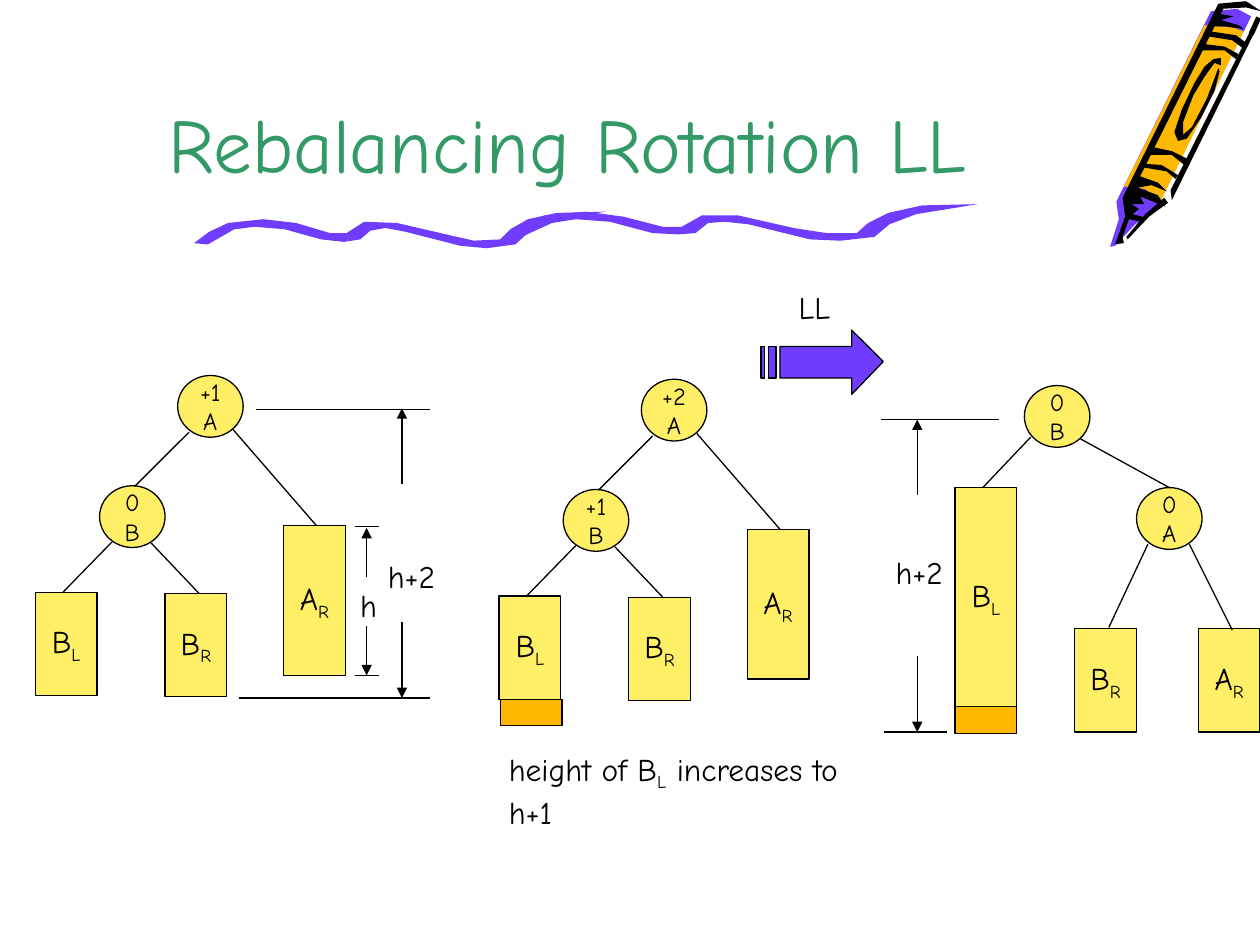
from lxml import etree
from pptx import Presentation
from pptx import util as u
from pptx.dml.color import RGBColor
from pptx.enum import shapes, text
from pptx.oxml.ns import qn

COLORS = {"ink": "000000", "title": "339966", "node": "FFEF66",
          "extra": "FFB800", "violet": "703DFF"}
FONT = "Comic Neue"
CELL = u.Inches(0.1)
NODE = (5.2, 4.9)
BAR = 4.9
SHORT, MEDIUM, TALL, GROWTH = 8.2, 11.9, 17.4, 2.1

CRAYON = [
    ("violet", [(99.3, 1.3), (91.7, 16.6), (90.1, 17.8), (88.5, 19.5), (88.1, 19.6),
                (88.8, 17.4), (88.6, 16), (96.1, 0.9), (98.2, 0.7)]),
    ("extra", [(92.1, 16), (90.9, 15), (89.2, 14.8), (95.6, 2), (97.9, 2.2), (98.7, 2.5)]),
    ("ink", [(92.7, 16.1), (91.2, 17.2), (89.5, 19), (89.4, 18.8), (90.9, 17), (92.4, 15.7)]),
    ("ink", [(98.7, 2.3), (97.3, 2.1), (96.1, 2.1), (96.8, 1.1), (97.9, 1.3),
             (96.9, 1.6), (98.3, 2)]),
    ("ink", [(96.8, 5.7), (96.4, 7.2), (95.3, 9.4), (94.2, 11), (93.5, 11.2), (93.2, 10.5),
             (93.8, 8.7), (94.8, 6.6), (95.6, 5.3), (96.3, 4.7), (96.9, 4.6), (96.9, 5.2),
             (96.4, 5), (95.6, 6.1), (94.7, 7.6), (93.9, 9.7), (93.9, 10.7), (94.6, 10.1),
             (95.8, 7.8), (96.7, 5.4)]),
    ("ink", [(99.7, 2.3), (93, 15.9), (92.9, 15.1), (99.3, 2.3)]),
    ("ink", [(92.5, 16.4), (91.9, 15.5), (90.3, 14.9), (91.4, 14.7), (92.6, 15.2),
             (91.9, 14.5), (90.5, 14), (97.1, 0.7), (98.9, 0.6), (100.1, 0.9), (98.9, 0.1),
             (96.7, 0.3), (89.1, 15.7), (89.3, 17.2), (88.5, 19.4), (89.2, 19.3),
             (89.1, 18.8), (89.6, 17.4), (90.5, 17.6), (91, 17.3), (89.9, 17),
             (90.4, 16.6), (89.8, 16.2), (90.8, 16.2), (90.5, 15.6)]),
    ("ink", [(93.3, 14.2), (92.6, 13.6), (90.8, 13.3), (90.9, 13), (92.2, 13.1), (93.5, 13.9)]),
    ("ink", [(94, 13.1), (93, 12.3), (91.3, 12.3), (91.6, 11.7), (93, 12), (94.2, 12.6)]),
    ("ink", [(98.1, 4.7), (97.2, 4), (95.3, 4), (95.6, 3.5), (97.2, 3.7), (98.3, 4.3)]),
    ("ink", [(98.6, 3.8), (97.8, 3.2), (95.9, 2.9), (96.1, 2.5), (98.1, 2.8), (98.9, 3.4)]),
]
WAVES = [
    [(16.5, 19.4), (18.6, 18.2), (20.2, 18), (22.6, 18.2), (25.5, 19), (27.3, 19.2),
     (28.6, 19), (29.4, 18.3), (30.6, 18.1), (32.2, 18.4), (36.5, 19.5), (38.6, 19.7),
     (40.9, 19.4), (42, 18.4), (43.8, 17.5), (48.1, 16.8), (44.2, 16.9), (41.9, 17.4),
     (40.5, 18.2), (39.7, 19), (37.6, 19.1), (35.4, 18.6), (31.5, 17.7), (28.9, 17.6),
     (27.5, 18.5), (26.2, 18.5), (23.5, 17.7), (20.9, 17.4), (18.1, 17.7), (16.6, 18.4),
     (15.4, 19.3)],
    [(41.4, 18.8), (43.8, 17.7), (45.7, 17.4), (48.4, 17.6), (51.8, 18.5), (53.8, 18.6),
     (55.2, 18.5), (56.2, 17.7), (57.5, 17.6), (59.4, 17.8), (64.3, 19), (66.7, 19.1),
     (69.4, 18.8), (70.6, 17.8), (72.7, 17), (77.6, 16.2), (73.2, 16.3), (70.5, 16.9),
     (68.9, 17.7), (68, 18.5), (65.6, 18.5), (63, 18.1), (58.6, 17.1), (55.7, 17.1),
     (54.1, 18), (52.6, 18), (49.5, 17.2), (46.5, 16.8), (43.2, 17.1), (41.5, 17.8),
     (40.1, 18.8)],
]
ARROW = [
    [(61.9, 27.5), (67.6, 27.5), (67.6, 26.2), (70.1, 28.7), (67.6, 31.3), (67.6, 30), (61.9, 30)],
    [(60.4, 27.5), (60.7, 27.5), (60.7, 30), (60.4, 30)],
    [(61, 27.5), (61.6, 27.5), (61.6, 30), (61, 30)],
]


def grid(*cells):
    """Turn grid columns or rows into slide lengths."""
    return [round(cell * CELL) for cell in cells]


def color(name):
    """Look up a named colour."""
    return RGBColor.from_string(COLORS[name])


def paint(shape, fill, outlined=True):
    """Give a shape its fill and a thin outline or none."""
    shape.shadow.inherit = False
    shape.fill.solid()
    shape.fill.fore_color.rgb = color(fill)
    if outlined:
        shape.line.color.rgb = color("ink")
        shape.line.width = u.Pt(0.75)
    else:
        shape.line.fill.background()


def write(frame, label, size=18, align=text.PP_ALIGN.CENTER, ink="ink"):
    """Write a label whose pieces between bars are subscripts."""
    for number, line in enumerate(label.split("\n")):
        para = frame.add_paragraph() if number else frame.paragraphs[0]
        para.alignment = align
        for index, piece in enumerate(line.split("|")):
            if not piece:
                continue
            span = para.add_run()
            span.text = piece
            span.font.name, span.font.size = FONT, u.Pt(size)
            span.font.color.rgb = color(ink)
            if index % 2:
                span._r.get_or_add_rPr().set("baseline", "-25000")


def add_outline(page, contours, fill, outlined=False):
    """Draw one freeform made of closed contours."""
    builder = None
    for contour in contours:
        start, *rest = [grid(*point) for point in contour]
        if builder is None:
            builder = page.shapes.build_freeform(*start)
        else:
            builder.move_to(*start)
        builder.add_line_segments(rest, close=True)
    paint(builder.convert_to_shape(), fill, outlined)


def add_line(page, x1, y1, x2, y2, arrow=False, width=0.75):
    """Draw a straight line, with an arrowhead at its end if asked."""
    line = page.shapes.add_connector(shapes.MSO_CONNECTOR.STRAIGHT, *grid(x1, y1, x2, y2))
    line.line.color.rgb = color("ink")
    line.line.width = u.Pt(width)
    if arrow:
        etree.SubElement(line.line._get_or_add_ln(), qn("a:tailEnd"), type="triangle")
    etree.SubElement(line._element.spPr, qn("a:effectLst"))


def add_box(page, kind, place, label="", size=18, fill="node"):
    """Draw a filled shape with a centred label."""
    box = page.shapes.add_shape(kind, *grid(*place))
    paint(box, fill)
    box.text_frame.word_wrap = False
    box.text_frame.vertical_anchor = text.MSO_ANCHOR.MIDDLE
    write(box.text_frame, label, size)


def add_node(page, left, top, balance, name):
    """Draw a tree node with its balance factor."""
    add_box(page, shapes.MSO_SHAPE.OVAL, (left, top, *NODE), f"{balance}\n{name}", 14)


def add_subtree(page, left, top, height, label="", fill="node"):
    """Draw a subtree as a bar."""
    add_box(page, shapes.MSO_SHAPE.RECTANGLE, (left, top, BAR, height), label, fill=fill)


def add_label(page, place, label):
    """Place a left-aligned text box."""
    box = page.shapes.add_textbox(*grid(*place))
    box.text_frame.word_wrap = True
    write(box.text_frame, label, align=text.PP_ALIGN.LEFT)


def add_measure(page, x, top, bottom, reach):
    """Draw a pair of arrows that point apart to two levels."""
    add_line(page, x, top + reach, x, top, arrow=True)
    add_line(page, x, bottom - reach, x, bottom, arrow=True)


def add_unrotated_tree(page, x, y, balance_a, balance_b):
    """Draw the tree with A above B, its corner at x and y."""
    add_node(page, x + 11.3, y, balance_a, "A")
    add_node(page, x + 5.1, y + 8.75, balance_b, "B")
    add_subtree(page, x, y + 17.2, SHORT, "B|L|")
    add_subtree(page, x + 10.3, y + 17.3, SHORT, "B|R|")
    add_subtree(page, x + 19.7, y + 11.9, MEDIUM, "A|R|")
    for x1, y1, x2, y2 in [(6.1, 13.2, 2.2, 17.2), (9.2, 13.3, 13, 17.3),
                           (15.7, 4.3, 22.3, 11.9), (12.2, 4.5, 7.9, 8.8)]:
        add_line(page, x + x1, y + y1, x + x2, y + y2)


def add_rotated_tree(page):
    """Draw the tree with B above A."""
    add_node(page, 81.3, 30.6, "0", "B")
    add_node(page, 90.2, 38.7, "0", "A")
    add_subtree(page, 75.8, 38.7, TALL, "B|L|")
    add_subtree(page, 75.8, 56.1, GROWTH, fill="extra")
    add_subtree(page, 85.3, 49.9, SHORT, "B|R|")
    add_subtree(page, 95.1, 49.9, SHORT, "A|R|")
    for ends in [(81.8, 34.7, 78, 38.7), (85.7, 34.8, 92.8, 38.7),
                 (91.1, 43.2, 88, 49.8), (94.4, 43.2, 97.8, 50)]:
        add_line(page, *ends)


def add_dimensions(page):
    """Draw the height marks beside the trees."""
    for left, right, y in [(19, 34.1, 55.4), (20.3, 34.1, 32.5), (28.2, 30.1, 41.8),
                           (28.2, 30.1, 53.6), (70.2, 75.2, 58.1), (69.9, 79.3, 33.3)]:
        add_line(page, left, y, right, y)
    add_measure(page, 31.9, 32.4, 55.4, 6)
    add_measure(page, 29.1, 41.9, 53.6, 3.9)
    add_measure(page, 72.8, 33.3, 58.1, 6)
    add_label(page, (29.8, 43.7, 6.5, 4), "h+2")
    add_label(page, (27.6, 46, 3.5, 4), "h")
    add_label(page, (70.1, 43.4, 6.5, 4), "h+2")


def add_decoration(page):
    """Draw the crayon and the wavy underline."""
    for fill, contour in CRAYON:
        add_outline(page, [contour], fill)
    add_line(page, 99.9, 1.4, 99.3, 2.7, width=3)
    for wave in WAVES:
        add_outline(page, [wave], "violet")


def add_title(page, label):
    """Place the slide title."""
    box = page.shapes.add_textbox(*grid(7.5, 0, 75.1, 15.5))
    box.text_frame.word_wrap = True
    box.text_frame.vertical_anchor = text.MSO_ANCHOR.BOTTOM
    write(box.text_frame, label, 44, ink="title")


def main():
    """Build and save the slide."""
    deck = Presentation()
    deck.slide_width, deck.slide_height = grid(100, 75)
    page = deck.slides.add_slide(deck.slide_layouts[6])
    add_decoration(page)
    add_title(page, "Rebalancing Rotation LL")
    add_unrotated_tree(page, 2.8, 29.8, "+1", "0")
    add_unrotated_tree(page, 39.6, 30.1, "+2", "+1")
    add_subtree(page, 39.7, 55.5, GROWTH, fill="extra")
    add_rotated_tree(page)
    add_dimensions(page)
    add_outline(page, ARROW, "violet", outlined=True)
    add_label(page, (62.4, 22.4, 6.8, 4), "LL")
    add_label(page, (39.4, 59, 28.3, 7.4), "height of B|L| increases to h+1")
    deck.save("out.pptx")


if __name__ == "__main__":
    main()
